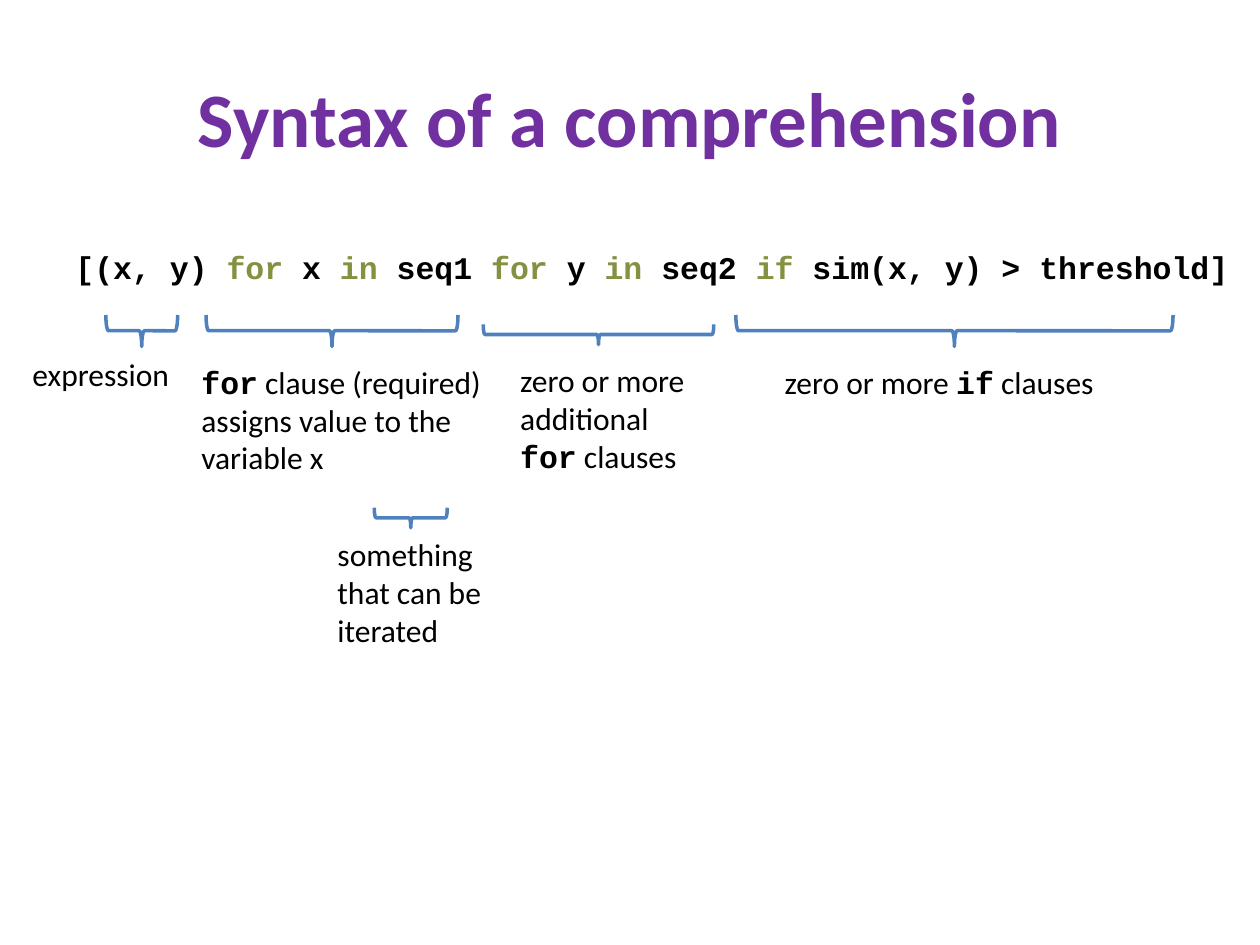
from dataclasses import dataclass

from pptx import Presentation
from pptx.dml.color import RGBColor
from pptx.enum.shapes import MSO_SHAPE
from pptx.enum.text import MSO_ANCHOR, PP_ALIGN
from pptx.util import Inches, Pt

COLUMNS, ROWS = 100, 75  # grid over the slide
SLIDE_WIDTH, SLIDE_HEIGHT = Inches(10), Inches(7.5)
KEYWORDS = {"for", "in", "if"}


@dataclass(frozen=True)
class Theme:
    title_color: str = "7030A0"
    text_color: str = "000000"
    keyword_color: str = "859040"
    brace_color: str = "4F81BD"
    body_font: str = "Calibri"
    code_font: str = "Courier New"
    title_size: int = 44
    body_size: int = 18
    brace_weight: int = 2


THEME = Theme()


def column(count):
    return round(SLIDE_WIDTH * count / COLUMNS)


def row(count):
    return round(SLIDE_HEIGHT * count / ROWS)


def code(text, color=THEME.text_color):
    """A run in the bold code face."""
    return text, {"font": THEME.code_font, "bold": True, "color": color}


def highlight(source):
    """Split a line of code into runs, with its keywords coloured."""
    words = source.split(" ")
    runs = []
    for index, word in enumerate(words):
        color = THEME.keyword_color if word in KEYWORDS else THEME.text_color
        gap = " " if index < len(words) - 1 else ""
        runs.append(code(word + gap, color))
    return runs


def add_text(slide, paragraphs, left, top, width, height, *, font=THEME.body_font,
             size=THEME.body_size, color=THEME.text_color, bold=False,
             align=PP_ALIGN.LEFT, anchor=MSO_ANCHOR.TOP):
    """Add a text box; each paragraph is a list of strings or (text, format) runs."""
    shape = slide.shapes.add_textbox(column(left), row(top), column(width), row(height))
    frame = shape.text_frame
    frame.word_wrap = True
    frame.vertical_anchor = anchor
    for index, runs in enumerate(paragraphs):
        paragraph = frame.add_paragraph() if index else frame.paragraphs[0]
        paragraph.alignment = align
        for item in runs:
            text, changes = (item, {}) if isinstance(item, str) else item
            style = {"font": font, "bold": bold, "color": color} | changes
            run = paragraph.add_run()
            run.text = text
            run.font.name = style["font"]
            run.font.size = Pt(size)
            run.font.bold = style["bold"]
            run.font.color.rgb = RGBColor.from_string(style["color"])


def add_brace(slide, center, middle, span, depth):
    """Add a brace that opens upwards, centred on a grid point."""
    shape = slide.shapes.add_shape(
        MSO_SHAPE.RIGHT_BRACE, column(center - depth / 2), row(middle - span / 2),
        column(depth), row(span))
    shape.rotation = 90
    shape.adjustments[0] = 0.083
    shape.shadow.inherit = False
    shape.fill.background()
    shape.line.color.rgb = RGBColor.from_string(THEME.brace_color)
    shape.line.width = Pt(THEME.brace_weight)


def main():
    presentation = Presentation()
    presentation.slide_width, presentation.slide_height = SLIDE_WIDTH, SLIDE_HEIGHT
    slide = presentation.slides.add_slide(presentation.slide_layouts[6])

    # Title and the line of code
    add_text(slide, [["Syntax of a comprehension"]], 5, 3, 90, 12.5,
             size=THEME.title_size, color=THEME.title_color, bold=True,
             align=PP_ALIGN.CENTER, anchor=MSO_ANCHOR.MIDDLE)
    source = "[(x, y) for x in seq1 for y in seq2 if sim(x, y) > threshold]"
    add_text(slide, [highlight(source)], 5, 19.2, 95, 4)

    # Each part: brace (center, middle, span, depth), label box, label text
    parts = [
        ((11.25, 26.25, 5.7, 2.5), (1.6, 27.7, 13, 7), [["expression"]]),
        ((26.35, 26.25, 20, 2.5), (15, 28.3, 25, 13),
         [[code("for"), " clause (required)"], ["assigns value to the variable x"]]),
        ((32.6, 41.1, 5.8, 1.6), (25.8, 42, 15.8, 10),
         [["something that can be iterated"]]),
        ((47.5, 26.55, 18.3, 1.6), (40.3, 28.2, 15.8, 16),
         [["zero or more additional ", code("for"), " clauses"]]),
        ((75.75, 26.25, 34.7, 2.5), (61.3, 28.3, 28.6, 7),
         [["zero or more ", code("if"), " clauses"]]),
    ]
    for brace, box, label in parts:
        add_brace(slide, *brace)
        add_text(slide, label, *box)

    presentation.save("out.pptx")


if __name__ == "__main__":
    main()
